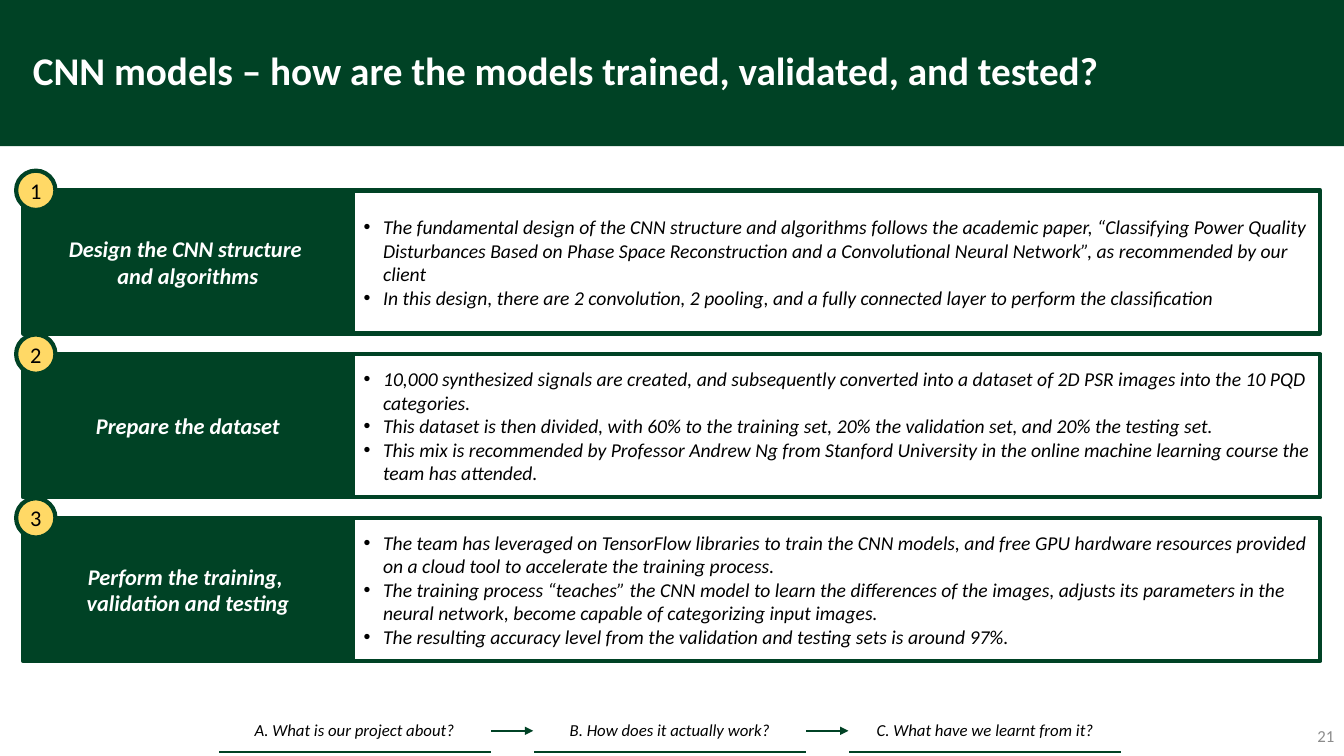
from dataclasses import dataclass

from lxml import etree
from pptx import Presentation
from pptx import util as u
from pptx.dml.color import RGBColor
from pptx.enum import shapes, text
from pptx.oxml import ns

Pt = u.Pt
Kind = shapes.MSO_SHAPE
Side = text.PP_ALIGN


@dataclass(frozen=True)
class Theme:
    """Colours, font and type sizes of the slide."""

    green: str = "004225"
    gold: str = "FFD966"
    white: str = "FFFFFF"
    black: str = "000000"
    grey: str = "8C8C8C"
    font: str = "Calibri"
    title: int = 28
    label: int = 16
    body: int = 14
    small: int = 12
    edge: float = 3
    rule: float = 1.5


LOOK = Theme()

STEPS = [
    (["Design the CNN structure ", "and algorithms"],
     ["The fundamental design of the CNN structure and algorithms follows the academic paper, “Classifying Power Quality Disturbances Based on Phase Space Reconstruction and a Convolutional Neural Network”, as recommended by our client",
      "In this design, there are 2 convolution, 2 pooling, and a fully connected layer to perform the classification"]),
    (["Prepare the dataset"],
     ["10,000 synthesized signals are created, and subsequently converted into a dataset of 2D PSR images into the 10 PQD categories.",
      "This dataset is then divided, with 60% to the training set, 20% the validation set, and 20% the testing set.",
      "This mix is recommended by Professor Andrew Ng from Stanford University in the online machine learning course the team has attended."]),
    (["Perform the training, ", "validation and testing"],
     ["The team has leveraged on TensorFlow libraries to train the CNN models, and free GPU hardware resources provided on a cloud tool to accelerate the training process.",
      "The training process “teaches” the CNN model to learn the differences of the images, adjusts its parameters in the neural network, become capable of categorizing input images.",
      "The resulting accuracy level from the validation and testing sets is around 97%."]),
]

PARTS = ["A. What is our project about?", "B. How does it actually work?",
         "C. What have we learnt from it?"]


def tint(code):
    """Turn a hex code into a colour."""
    return RGBColor.from_string(code)


def add(node, tag, **atts):
    """Append a DrawingML element to a node."""
    return etree.SubElement(node, ns.qn("a:" + tag), atts)


def write(frame, lines, size, color=LOOK.black, side=Side.LEFT, bold=False,
          slant=False, dots=False, gap=None):
    """Fill a text frame with formatted paragraphs."""
    frame.word_wrap = True
    frame.vertical_anchor = text.MSO_ANCHOR.MIDDLE
    for i, line in enumerate(lines):
        para = frame.add_paragraph() if i else frame.paragraphs[0]
        para.text = line
        para.alignment = side
        if gap:
            para.line_spacing = gap
        if dots:
            props = para._p.get_or_add_pPr()
            props.set("marL", str(Pt(14.6)))
            props.set("indent", str(Pt(-13.9)))
            add(props, "buFont", typeface="Arial")
            add(props, "buChar", char="•")
        font = para.runs[0].font
        font.name, font.size = LOOK.font, Pt(size)
        font.bold, font.italic = bold, slant
        font.color.rgb = tint(color)


def shape(slide, kind, box, fill=None, edge=None):
    """Draw a flat preset shape and return it."""
    item = slide.shapes.add_shape(kind, *map(Pt, box))
    item.shadow.inherit = False
    if fill:
        item.fill.solid()
        item.fill.fore_color.rgb = tint(fill)
    else:
        item.fill.background()
    if edge:
        item.line.color.rgb = tint(edge)
        item.line.width = Pt(LOOK.edge)
    else:
        item.line.fill.background()
    return item


def label(slide, box, line, size, **form):
    """Place a line of text in its own box."""
    item = slide.shapes.add_textbox(*map(Pt, box))
    write(item.text_frame, [line], size, **form)


def step(slide, top, heads, notes):
    """Draw the label and notes of one step."""
    high = 102.2
    pane = shape(slide, Kind.RECTANGLE, (252, top, 691.2, high), edge=LOOK.green)
    write(pane.text_frame, notes, LOOK.body, slant=True, dots=True)
    head = shape(slide, Kind.RECTANGLE, (16.5, top, 235.5, high), LOOK.green, LOOK.green)
    write(head.text_frame, heads, LOOK.label, LOOK.white, Side.CENTER, True, True)


def badge(slide, top, count):
    """Draw the numbered circle of one step."""
    disc = shape(slide, Kind.OVAL, (11.5, top, 28.1, 28.1), LOOK.gold, LOOK.green)
    frame = disc.text_frame
    frame.margin_left = frame.margin_right = frame.margin_top = frame.margin_bottom = 0
    write(frame, [str(count)], LOOK.label, side=Side.CENTER)


def tab(slide, left, wide, line):
    """Draw one underlined section name as a table."""
    grid = slide.shapes.add_table(1, 1, Pt(left), Pt(507.6), Pt(wide), Pt(29.5)).table
    grid.first_row = grid.horz_banding = False
    cell = grid.cell(0, 0)
    cell.fill.solid()
    cell.fill.fore_color.rgb = tint(LOOK.white)
    write(cell.text_frame, [line], LOOK.small, side=Side.CENTER, slant=True)
    cell.vertical_anchor = text.MSO_ANCHOR.MIDDLE
    props = cell._tc.get_or_add_tcPr()
    rule = add(props, "lnB", w=str(Pt(LOOK.rule)))
    add(add(rule, "solidFill"), "srgbClr", val=LOOK.green)
    props.insert(0, rule)


def arrow(slide, start, end, high):
    """Draw a level arrow between two sections."""
    item = slide.shapes.add_connector(
        shapes.MSO_CONNECTOR.STRAIGHT, Pt(start), Pt(high), Pt(end), Pt(high))
    item.line.color.rgb = tint(LOOK.green)
    item.line.width = Pt(LOOK.rule)
    add(item.line._get_or_add_ln(), "tailEnd", type="triangle")
    add(item._element.spPr, "effectLst")


def main():
    """Build the slide and save it."""
    deck = Presentation()
    deck.slide_width, deck.slide_height = Pt(960), Pt(540)
    slide = deck.slides.add_slide(deck.slide_layouts[6])

    shape(slide, Kind.RECTANGLE, (0, 0, 960, 104.4), LOOK.green)
    first, wide, pitch = 155.7, 195.1, 225.2
    for i, part in enumerate(PARTS):
        left = first + i * pitch
        tab(slide, left, wide, part)
        if i:
            arrow(slide, left - pitch + wide, left, 522)

    label(slide, (16.5, 11.5, 926.7, 81.4),
          "CNN models – how are the models trained, validated, and tested?",
          LOOK.title, color=LOOK.white, bold=True, gap=0.9)
    label(slide, (894.2, 511.2, 66, 28.8), "21", LOOK.small,
          color=LOOK.grey, side=Side.RIGHT)

    for i, (heads, notes) in enumerate(STEPS):
        step(slide, 136 + 117 * i, heads, notes)
    for i in range(len(STEPS)):
        badge(slide, 121.9 + 117 * i, i + 1)

    deck.save("out.pptx")


if __name__ == "__main__":
    main()
